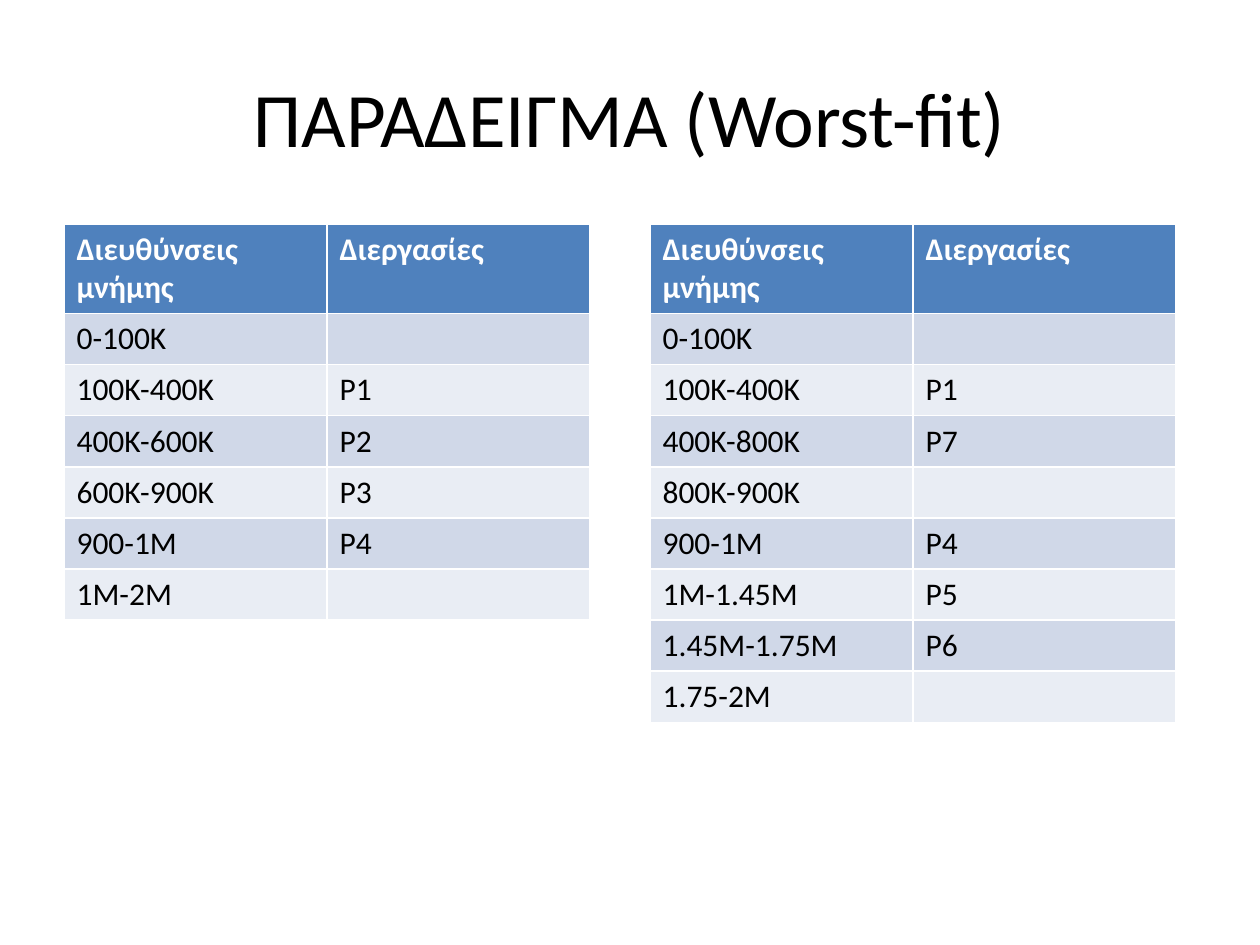
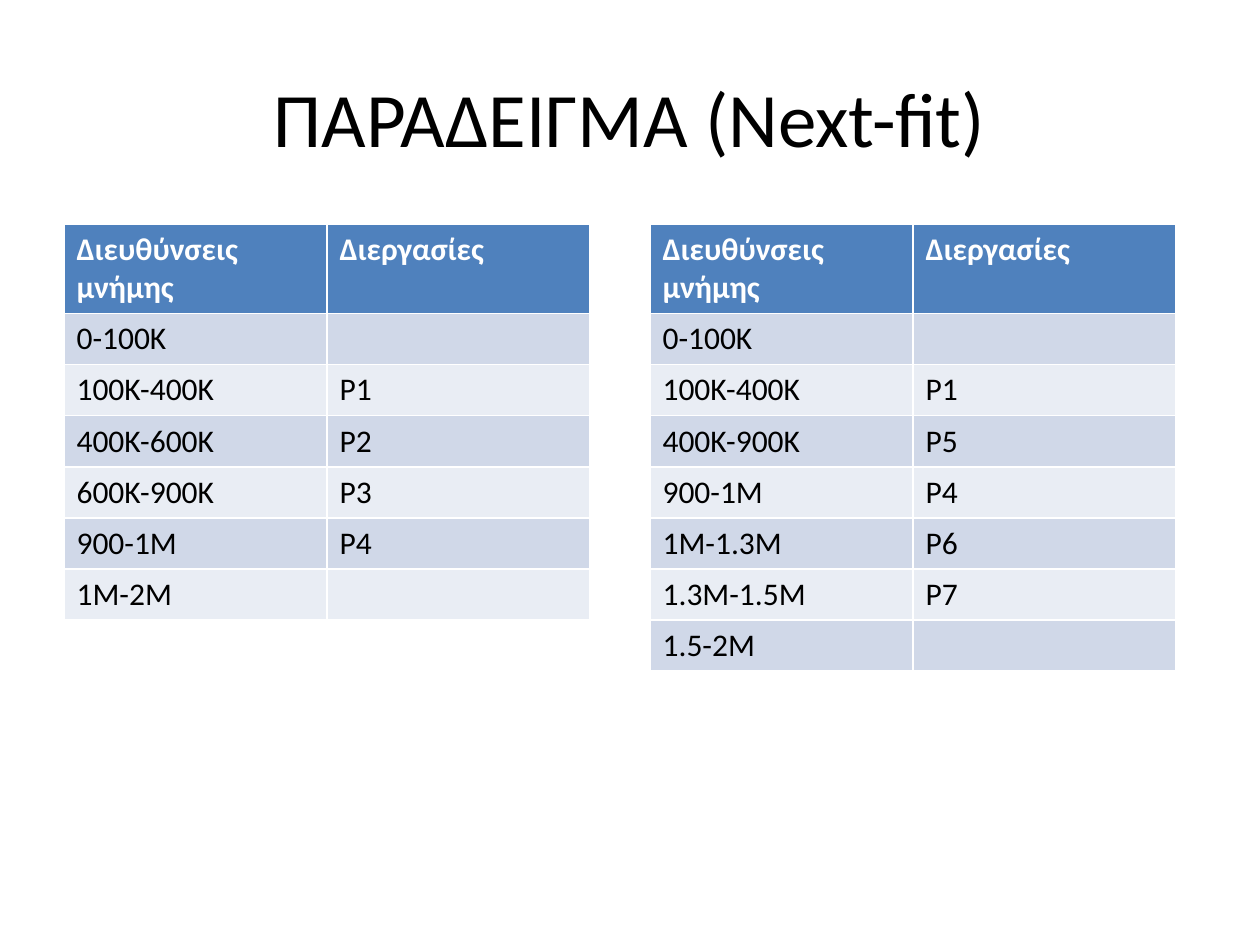
from pptx import Presentation
from pptx.dml.color import RGBColor
from pptx.enum.text import MSO_ANCHOR, PP_ALIGN
from pptx.util import Pt

HEADER = ("Διευθύνσεις μνήμης", "Διεργασίες")
BEFORE = [
    ("0-100Κ", ""),
    ("100K-400Κ", "P1"),
    ("400Κ-600Κ", "P2"),
    ("600Κ-900Κ", "P3"),
    ("900-1M", "P4"),
    ("1M-2M", ""),
]
WORST_FIT = [
    ("0-100Κ", ""),
    ("100K-400Κ", "P1"),
    ("400Κ-800Κ", "P7"),
    ("800Κ-900Κ", ""),
    ("900-1M", "P4"),
    ("1M-1.45Μ", "P5"),
    ("1.45M-1.75M", "P6"),
    ("1.75-2M", ""),
]
NEXT_FIT = [
    ("0-100Κ", ""),
    ("100K-400Κ", "P1"),
    ("400Κ-900Κ", "P5"),
    ("900-1M", "P4"),
    ("1M-1.3Μ", "P6"),
    ("1.3M-1.5M", "P7"),
    ("1.5-2M", ""),
]
SLIDES = [
    ("ΠΑΡΑΔΕΙΓΜΑ (Worst-fit)", WORST_FIT),
    ("ΠΑΡΑΔΕΙΓΜΑ (Next-fit)", NEXT_FIT),
]

FONT = "Calibri"
BLUE, BANDS = "4F81BD", ("E9EDF4", "D0D8E8")
TITLE_FONT = {"name": FONT, "size": Pt(44), "color": "000000"}
HEADER_FONT = {"name": FONT, "size": Pt(18), "bold": True, "color": "FFFFFF"}
BODY_FONT = {"name": FONT, "size": Pt(18), "bold": False, "color": "000000"}

TITLE_BOX = (63, 38, 1134, 158)
TABLE_LEFTS, TABLE_TOP = (64, 650), 224
COL_W, HEADER_H, ROW_H = 263, 88, 51


def px(n):
    return round(n * 914400 / 126)


def rgb(color):
    return RGBColor.from_string(color)


def set_font(font, style):
    for name, value in style.items():
        if name == "color":
            font.color.rgb = rgb(value)
        else:
            setattr(font, name, value)


def add_title(s, text):
    title = s.shapes.title
    for name, value in zip(("left", "top", "width", "height"), TITLE_BOX):
        setattr(title, name, px(value))
    tf = title.text_frame
    tf.text = text
    tf.vertical_anchor = MSO_ANCHOR.MIDDLE
    p = tf.paragraphs[0]
    p.alignment = PP_ALIGN.CENTER
    set_font(p.runs[0].font, TITLE_FONT)


def add_memory_table(s, left, regions):
    """Add a table of memory regions; its white rules come from the table style."""
    rows = [HEADER, *regions]
    height = HEADER_H + ROW_H * len(regions)
    table = s.shapes.add_table(len(rows), len(HEADER), px(left), px(TABLE_TOP),
                               px(COL_W * len(HEADER)), px(height)).table
    for i, row in enumerate(rows):
        table.rows[i].height = px(ROW_H if i else HEADER_H)
        for j, text in enumerate(row):
            cell = table.cell(i, j)
            cell.fill.solid()
            cell.fill.fore_color.rgb = rgb(BANDS[i % 2] if i else BLUE)
            if text:
                cell.text = text
                r = cell.text_frame.paragraphs[0].runs[0]
                set_font(r.font, BODY_FONT if i else HEADER_FONT)


def main():
    prs = Presentation()
    prs.slide_width, prs.slide_height = px(1260), px(945)
    for title, after in SLIDES:
        s = prs.slides.add_slide(prs.slide_layouts[5])
        add_title(s, title)
        for left, regions in zip(TABLE_LEFTS, (BEFORE, after)):
            add_memory_table(s, left, regions)
    prs.save("out.pptx")


if __name__ == "__main__":
    main()
